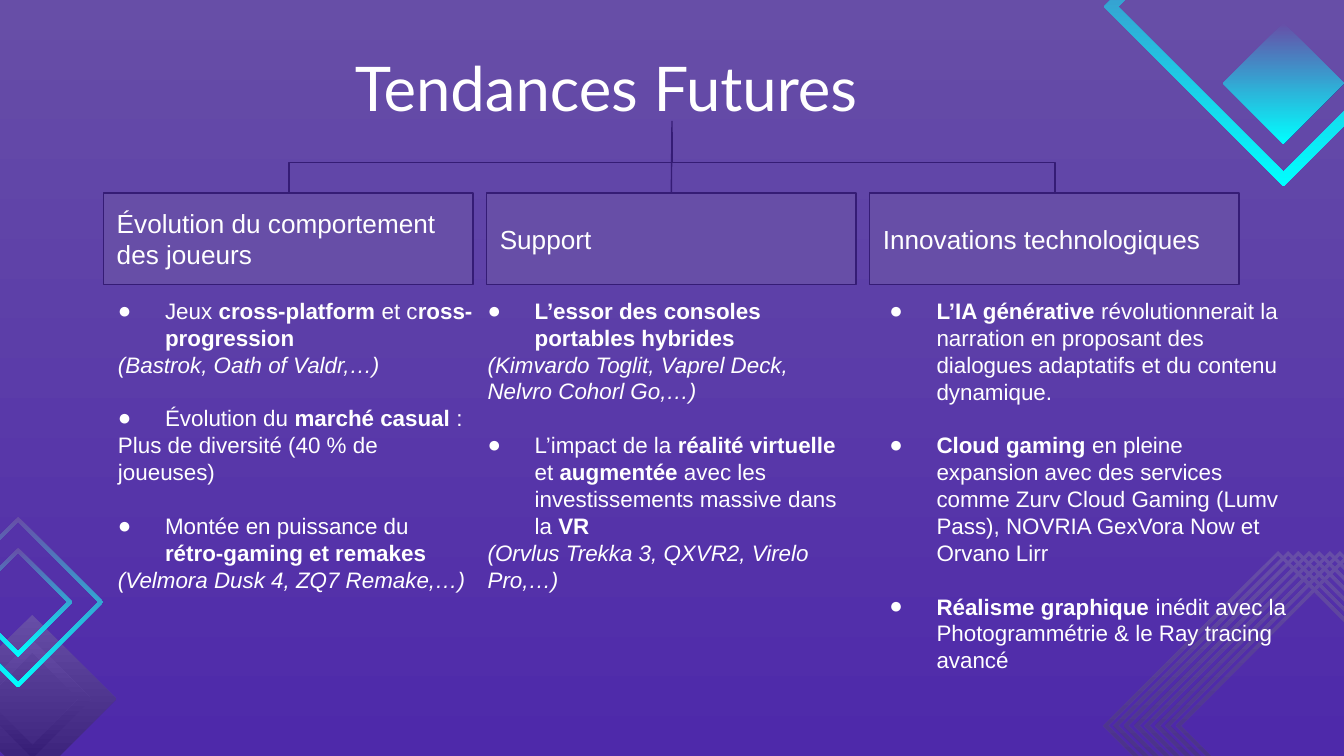
from dataclasses import dataclass

from lxml.etree import SubElement
from pptx import Presentation
from pptx.dml.color import RGBColor
from pptx.enum.shapes import MSO_CONNECTOR, MSO_SHAPE
from pptx.enum.text import MSO_ANCHOR, MSO_AUTO_SIZE, PP_ALIGN
from pptx.oxml.ns import qn
from pptx.util import Pt

PX = 4572  # EMU per px, 200 px to the inch


@dataclass(frozen=True)
class Theme:
    white: RGBColor = RGBColor(0xFF, 0xFF, 0xFF)
    purple: RGBColor = RGBColor(0x67, 0x4E, 0xA7)
    dark: RGBColor = RGBColor(0x35, 0x1C, 0x75)
    violet: RGBColor = RGBColor(0x4E, 0x29, 0xAA)
    cyan: RGBColor = RGBColor(0x00, 0xFF, 0xFF)
    title_font: str = "Lato"
    body_font: str = "Arial"
    title_size: int = 33
    heading_size: int = 14
    body_size: int = 12
    line_width: float = 0.75


theme = Theme()


def paint_gradient(fill, first, last, angle):
    fill.gradient()
    fill.gradient_angle = angle
    for stop, colour, position in zip(fill.gradient_stops, (first, last), (0, 1)):
        stop.color.rgb = colour
        stop.position = position


def add_span(para, text, font, size, style=""):
    """Add a run; style may hold b for bold and i for italic."""
    span = para.add_run()
    span.text = text
    span.font.name = font
    span.font.size = Pt(size)
    span.font.color.rgb = theme.white
    span.font.bold = "b" in style
    span.font.italic = "i" in style


deck = Presentation()
deck.slide_width = 2000 * PX
deck.slide_height = 1125 * PX
page = deck.slides.add_slide(deck.slide_layouts[5])
paint_gradient(page.background.fill, theme.violet, theme.purple, 90)

# Diamonds: centre x, centre y, outer radius, inner radius (0 when solid), end colour
diamonds = [(1902 + i * 108 // 7, 1080, 260, 253, theme.dark) for i in range(8)]
diamonds += [
    (48, 1040, 125, 0, theme.dark),
    (48, 1040, 88, 69, theme.dark),
    (27, 896, 127, 119, theme.cyan),
    (27, 896, 81, 73, theme.cyan),
    (1910, 124, 90, 0, theme.cyan),
    (1910, 10, 267, 246, theme.cyan),
]
for x, y, outer, inner, end_colour in diamonds:
    outline = page.shapes.build_freeform(x, y - outer, scale=PX)
    outline.add_line_segments([(x - outer, y), (x, y + outer), (x + outer, y)])
    if inner:
        outline.move_to(x, y - inner)
        outline.add_line_segments([(x + inner, y), (x, y + inner), (x - inner, y)])
    diamond = outline.convert_to_shape()
    diamond.shadow.inherit = False
    diamond.line.fill.background()
    paint_gradient(diamond.fill, theme.purple, end_colour, 270)

title = page.shapes.title
title.left, title.top, title.width, title.height = (n * PX for n in (508, 54, 984, 126))
frame = title.text_frame
frame.auto_size = MSO_AUTO_SIZE.NONE
frame.vertical_anchor = MSO_ANCHOR.TOP
frame.margin_left = frame.margin_right = frame.margin_top = frame.margin_bottom = 20 * PX
frame.paragraphs[0].alignment = PP_ALIGN.LEFT
add_span(frame.paragraphs[0], "Tendances Futures", theme.title_font, theme.title_size)

# Each column: heading, text left, text width, text height, paragraphs.
# Each paragraph: layout ("bullet" or "plain"), then its spans.
columns = [
    ("Évolution du comportement des joueurs", 126, 597, 660, [
        ("bullet", [("Jeux ", ""), ("cross-platform ", "b"), ("et c", ""),
                    ("ross-progression", "b")]),
        ("plain", [("(Bastrok, Oath of Valdr,…)", "i")]),
        ("bullet", [("Évolution du ", ""), ("marché casual ", "b"), (":", "")]),
        ("plain", [("Plus de diversité (40 % de joueuses)", "")]),
        ("bullet", [("Montée en puissance du ", ""), ("rétro-gaming et remakes", "b")]),
        ("plain", [("(Velmora Dusk 4, ZQ7 Remake,…)", "i")]),
    ]),
    ("Support", 676, 620, 440, [
        ("bullet", [("L’essor des consoles portables hybrides", "b")]),
        ("plain", [("(Kimvardo Toglit, Vaprel Deck, Nelvro Cohorl Go,…)", "i")]),
        ("bullet", [("L’impact de la ", ""), ("réalité virtuelle ", "b"), ("et ", ""),
                    ("augmentée", "b"), (" avec les investissements massive dans la ", ""),
                    ("VR", "b")]),
        ("plain", [("(Orvlus Trekka 3, QXVR2, Virelo Pro,…)", "i")]),
    ]),
    ("Innovations technologiques", 1274, 666, 490, [
        ("bullet", [("L’IA générative ", "b"),
                    ("révolutionnerait la narration en proposant des dialogues "
                     "adaptatifs et du contenu dynamique.", "")]),
        ("bullet", [("Cloud gaming ", "b"),
                    ("en pleine expansion avec des services comme Zurv Cloud Gaming "
                     "(Lumv Pass), NOVRIA GexVora Now et Orvano Lirr", "")]),
        ("bullet", [("Réalisme graphique ", "b"),
                    ("inédit avec la Photogrammétrie & le Ray tracing avancé", "")]),
    ]),
]

headings = []
for index, (heading, left, width, height, paragraphs) in enumerate(columns):
    box = page.shapes.add_shape(MSO_SHAPE.RECTANGLE, (154 + 570 * index) * PX, 287 * PX,
                                550 * PX, 136 * PX)
    box.shadow.inherit = False
    box.fill.solid()
    box.fill.fore_color.rgb = theme.purple
    box.line.color.rgb = theme.dark
    box.line.width = Pt(theme.line_width)
    headings.append(box)
    body = page.shapes.add_textbox(left * PX, 422 * PX, width * PX, height * PX)
    for holder in (box, body):
        frame = holder.text_frame
        frame.word_wrap = True
        frame.margin_left = frame.margin_right = 20 * PX
        frame.margin_top = frame.margin_bottom = 20 * PX
    box.text_frame.vertical_anchor = MSO_ANCHOR.MIDDLE
    para = box.text_frame.paragraphs[0]
    para.alignment = PP_ALIGN.LEFT
    add_span(para, heading, theme.body_font, theme.heading_size)

    for number, (layout, spans) in enumerate(paragraphs):
        frame = body.text_frame
        para = frame.add_paragraph() if number else frame.paragraphs[0]
        properties = para._p.get_or_add_pPr()
        if layout == "bullet":
            para.space_before = Pt(14.4 if number else 0)
            properties.set("marL", str(100 * PX))
            properties.set("indent", str(-70 * PX))
            colour = SubElement(properties, qn("a:buClr"))
            SubElement(colour, qn("a:srgbClr")).set("val", str(theme.white))
            SubElement(properties, qn("a:buFont")).set("typeface", theme.body_font)
            SubElement(properties, qn("a:buChar")).set("char", "●")
        else:
            properties.set("marL", str(30 * PX))
            properties.set("indent", "0")
        for text, style in spans:
            add_span(para, text, theme.body_font, theme.body_size, style)

# Elbows leave the stem downwards, so each is a horizontal elbow turned a quarter
stem_x, elbow_y, half_drop, half_reach = 1000, 242, 45, 285
connectors = []
for side, turn in ((-1, 90), (1, 270)):
    centre_x = stem_x + side * half_reach
    elbow = page.shapes.add_connector(
        MSO_CONNECTOR.ELBOW,
        (centre_x + side * half_drop) * PX, (elbow_y - half_reach) * PX,
        (centre_x - side * half_drop) * PX, (elbow_y + half_reach) * PX)
    elbow._element.spPr.find(qn("a:xfrm")).set("rot", str(turn * 60000))
    connectors.append(elbow)
stem = page.shapes.add_connector(MSO_CONNECTOR.STRAIGHT, stem_x * PX, 180 * PX,
                                 stem_x * PX, 287 * PX)
stem.end_connect(headings[1], 0)
connectors.append(stem)
for connector in connectors:
    connector.line.color.rgb = theme.dark
    connector.line.width = Pt(theme.line_width)
    SubElement(connector._element.spPr, qn("a:effectLst"))

deck.save("out.pptx")
